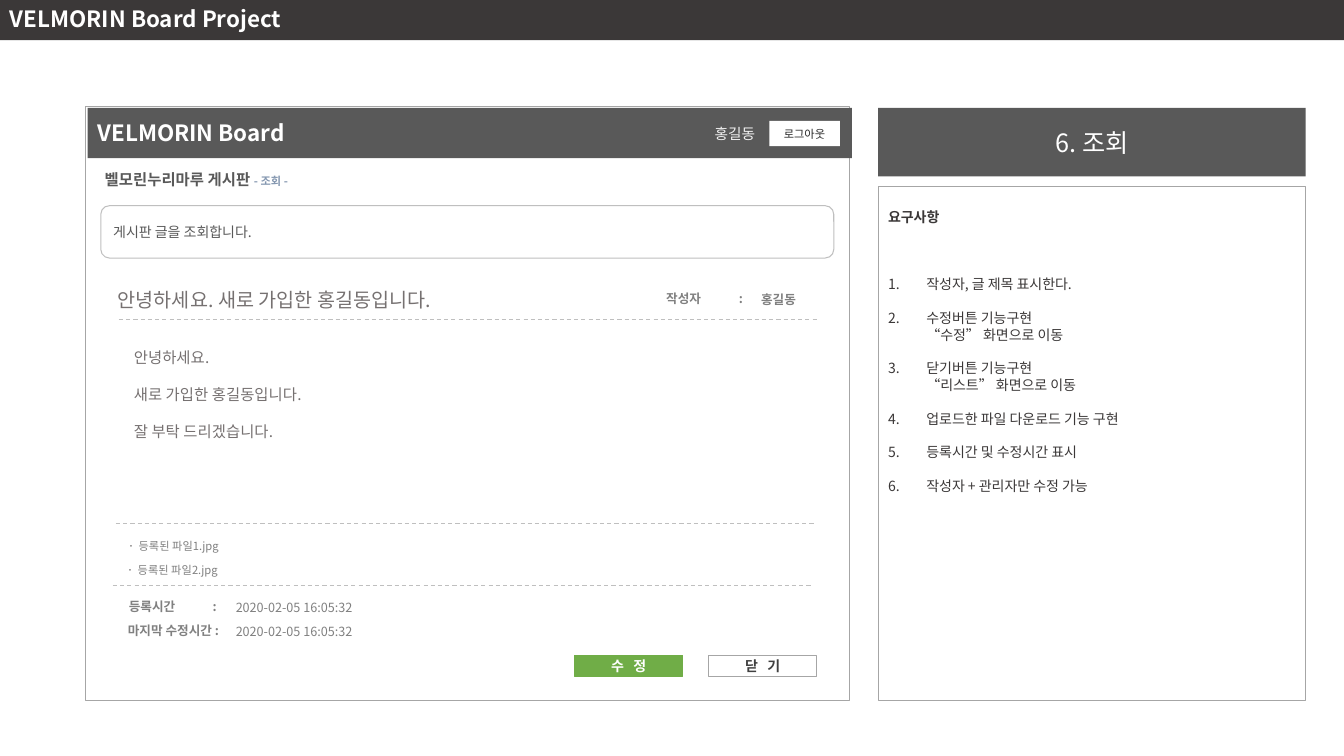
from lxml.etree import SubElement as Sub
from pptx import Presentation
from pptx.dml.color import RGBColor as RGB
from pptx.enum.dml import MSO_LINE as Dash
from pptx.enum.shapes import MSO_CONNECTOR as Link, MSO_SHAPE as Form
from pptx.enum.text import MSO_ANCHOR as Anchor, PP_ALIGN as Align
from pptx.oxml.ns import qn
from pptx.util import Inches, Pt


class Theme:
    font = "Noto Sans CJK KR"
    white, pale, rule, edge = "FFFFFF", "F2F2F2", "BFBFBF", "A6A6A6"
    gray, soft, dark, ink = "808080", "767171", "595959", "3B3838"
    coal, black, blue, green = "404040", "262626", "8497B0", "70AD47"
    head, name, title, sub = 18, 16, 14, 11
    user, body, label, small = 10.5, 10, 9, 8


deck = Presentation()
deck.slide_width, deck.slide_height = Inches(13.33), Inches(7.5)
cell = deck.slide_height / 75
page = deck.slides.add_slide(deck.slide_layouts[6])
shapes = page.shapes


def put(at, fill=None, line=None, width=0.75, form=Form.RECTANGLE, text=""):
    spot = [round(n * cell) for n in at]
    if not (fill or line):
        item = shapes.add_textbox(*spot)
    else:
        item = shapes.add_shape(form, *spot)
        item.shadow.inherit = False
        item.text_frame.vertical_anchor = Anchor.MIDDLE
        item.fill.background()
        item.line.fill.background()
    if fill:
        item.fill.solid()
        item.fill.fore_color.rgb = RGB.from_string(fill)
    if line:
        item.line.color.rgb = RGB.from_string(line)
        item.line.width = Pt(width)
    item.text_frame.word_wrap = True
    item.text_frame.text = text
    return item.text_frame


def style(frame, size, color, bold=False, align=Align.LEFT):
    for para in frame.paragraphs:
        para.alignment = align
        for run in para.runs:
            run.font.size, run.font.bold = Pt(size), bold
            run.font.color.rgb = RGB.from_string(color)
            run.font.name = Theme.font
            Sub(run.font._element, qn("a:ea"), typeface=Theme.font)
        for gap in para._p.findall(qn("a:br")):
            Sub(gap, qn("a:rPr"), sz=str(size * 100))


put((8.5, 10.6, 75.8, 58.9), Theme.white, Theme.edge)

bars = [
    ((0, -0.3, 133.3, 4.3), Theme.ink, "VELMORIN Board Project", Theme.name, True, Align.LEFT),
    ((8.7, 10.7, 75.8, 5), Theme.dark, "VELMORIN Board", Theme.name, True, Align.LEFT),
    ((87.1, 10.7, 42.4, 6.8), Theme.dark, "6. 조회", Theme.head, False, Align.CENTER),
]
for at, fill, text, size, bold, align in bars:
    style(put(at, fill, text=text), size, Theme.white, bold, align)

exit = put((76.3, 12, 7, 2.5), Theme.white, text="로그아웃")
style(exit, Theme.small, Theme.black, align=Align.CENTER)

note = put((10, 20.4, 72.7, 5.2), Theme.white, Theme.rule,
           form=Form.ROUNDED_RECTANGLE, text="게시판 글을 조회합니다.")
style(note, Theme.body, Theme.dark)

crumb = put((9.4, 16.4, 30, 2.9), text="벨모린누리마루 게시판 ")
crumb.paragraphs[0].add_run().text = "- 조회 -"
style(crumb, Theme.sub, Theme.dark, True)
mode = crumb.paragraphs[0].runs[1].font
mode.size, mode.color.rgb = Pt(Theme.small), RGB.from_string(Theme.blue)

labels = [
    (69.9, 11.9, 7.3, "홍길동", Theme.user, Theme.pale, False),
    (10.7, 28.1, 56, "안녕하세요. 새로 가입한 홍길동입니다.", Theme.title, Theme.soft, False),
    (65.1, 28.4, 8, "작성자", Theme.label, Theme.gray, True),
    (72.3, 28.4, 3, ":", Theme.label, Theme.gray, True),
    (74.5, 28.5, 8, "홍길동", Theme.label, Theme.gray, True),
    (11.8, 58.9, 8, "등록시간", Theme.label, Theme.gray, True),
    (20.1, 58.9, 3, ":", Theme.label, Theme.gray, True),
    (22.4, 59, 16, "2020-02-05 16:05:32", Theme.label, Theme.gray, False),
    (11.7, 61.3, 14, "마지막 수정시간 :", Theme.label, Theme.gray, True),
    (22.4, 61.4, 16, "2020-02-05 16:05:32", Theme.label, Theme.gray, False),
]
for left, top, width, text, size, color, bold in labels:
    style(put((left, top, width, 2.5), text=text), size, color, bold)

post = put((12.3, 34, 59.4, 12.1),
           text="안녕하세요.\n새로 가입한 홍길동입니다.\n잘 부탁 드리겠습니다.")
style(post, Theme.sub, Theme.soft)
for para in post.paragraphs[1:]:
    para.space_before = Pt(1.2 * Theme.sub)

for num, left in enumerate((11.5, 11.4)):
    file = put((left, 53 + 2.4 * num, 16, 2.4), text="ㆍ ")
    file.paragraphs[0].add_run().text = f"등록된 파일{num + 1}.jpg"
    style(file, Theme.small, Theme.gray)
    file.paragraphs[0].runs[0].font.color.rgb = RGB.from_string(Theme.ink)

for left, top in ((11.8, 31.7), (11.5, 51.9), (11.2, 58.1)):
    ends = [round(n * cell) for n in (left, top, left + 69.2, top)]
    rule = shapes.add_connector(Link.STRAIGHT, *ends)
    rule.line.color.rgb = RGB.from_string(Theme.rule)
    rule.line.width, rule.line.dash_style = Pt(0.75), Dash.DASH
    Sub(rule._element.spPr, qn("a:effectLst"))

keys = [
    (57, Theme.green, Theme.green, "수 정", Theme.white),
    (70.3, None, Theme.edge, "닫 기", Theme.coal),
]
for left, fill, line, text, color in keys:
    key = put((left, 65, 10.7, 2.1), fill, line, 1, text=text)
    style(key, Theme.body, color, True, Align.CENTER)
    key.paragraphs[0].runs[0].font._element.set("spc", "220")

needs = [
    "요구사항",
    "작성자, 글 제목 표시한다.",
    "수정버튼 기능구현\v“수정” 화면으로 이동",
    "닫기버튼 기능구현\v“리스트” 화면으로 이동",
    "업로드한 파일 다운로드 기능 구현",
    "등록시간 및 수정시간 표시",
    "작성자 + 관리자만 수정 가능",
]
panel = put((87.1, 18.5, 42.4, 51), Theme.white, Theme.edge, 0.5)
panel.text = "\n".join(needs)
panel.vertical_anchor = Anchor.TOP
panel.margin_top = Inches(0.22)
style(panel, Theme.body, Theme.ink)
head, *steps = panel.paragraphs
head.runs[0].font.bold = True
for num, para in enumerate(steps):
    para.space_before = Pt(1.2 * Theme.body * (1 if num else 3))
    props = para._p.get_or_add_pPr()
    props.set("marL", str(Inches(0.38)))
    props.set("indent", str(-Inches(0.38)))
    Sub(props, qn("a:buAutoNum"), type="arabicPeriod")

deck.save("out.pptx")
